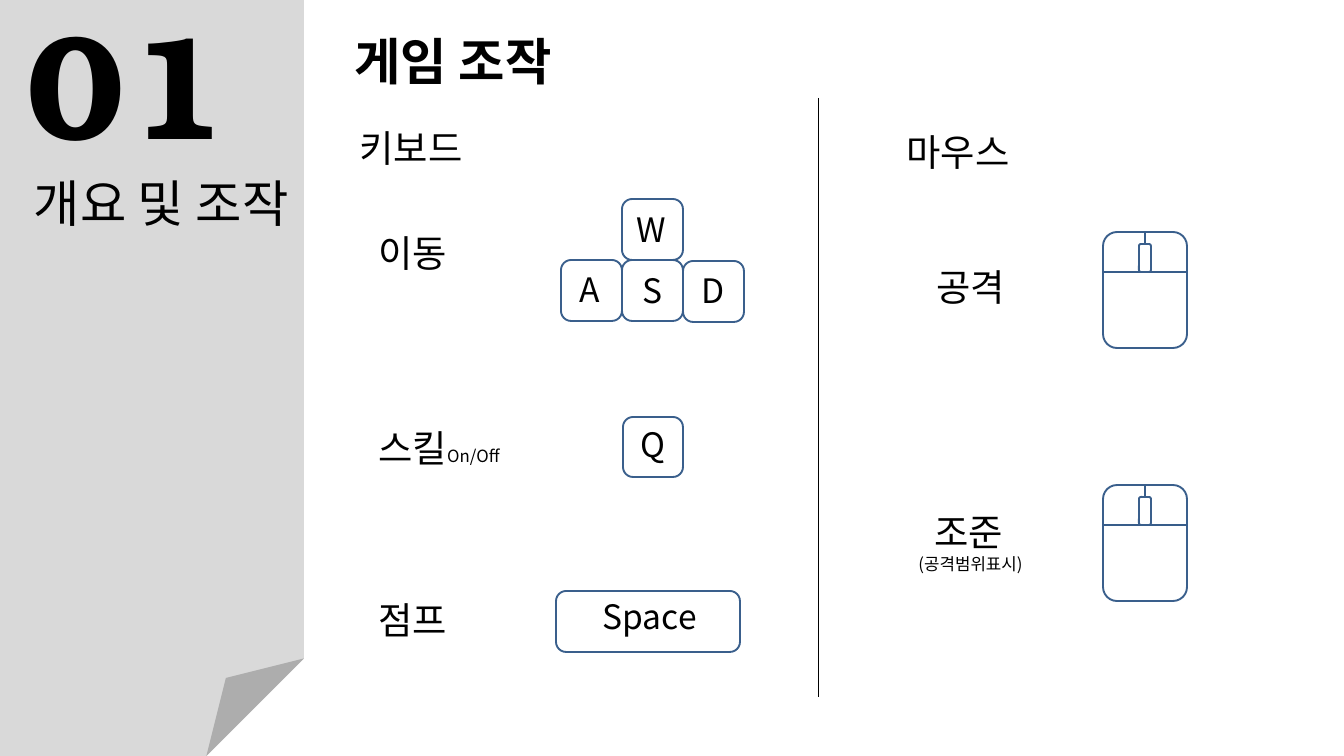
from collections import namedtuple
from dataclasses import dataclass

from lxml import etree
from pptx import Presentation
from pptx import util as u
from pptx.dml.color import RGBColor
from pptx.enum import shapes, text
from pptx.oxml import ns

Box = namedtuple("Box", "x y w h")
SCALE = u.Inches(20) / 1344


@dataclass(frozen=True)
class Theme:
    paper: str = "FFFFFF"
    ink: str = "000000"
    sidebar: str = "D9D9D9"
    key_edge: str = "3A5F8C"
    mouse_edge: str = "385D8A"
    korean: str = "Noto Sans CJK KR"
    latin: str = "Lato"
    numeral: str = "TeX Gyre Bonum"
    number_size: int = 158
    title_size: int = 54
    label_size: int = 40
    legend_size: int = 36
    note_size: int = 18
    edge: float = 2
    hairline: float = 0.75


THEME = Theme()
LEFT, CENTER = text.PP_ALIGN.LEFT, text.PP_ALIGN.CENTER
RIGHT, JUSTIFY = text.PP_ALIGN.RIGHT, text.PP_ALIGN.JUSTIFY


def px(length):
    return u.Emu(round(length * SCALE))


def color(value):
    return RGBColor.from_string(value)


def place(region, x, y, w, h):
    return Box(region.x + x, region.y + y, w, h)


def write(slide, box, paragraphs, align=LEFT, font=THEME.korean, bold=False, spacing=0):
    label = slide.shapes.add_textbox(*map(px, box))
    frame = label.text_frame
    frame.word_wrap = True
    for index, runs in enumerate(paragraphs):
        paragraph = frame.paragraphs[0] if index == 0 else frame.add_paragraph()
        paragraph.alignment = align
        for words, size in runs:
            run = paragraph.add_run()
            run.text = words
            run.font.size = u.Pt(size)
            run.font.name = font
            run.font.bold = bold
            run.font.color.rgb = color(THEME.ink)
            properties = run.font._element
            east_asian = etree.SubElement(properties, ns.qn("a:ea"))
            east_asian.set("typeface", THEME.korean)
            if spacing:
                properties.set("spc", str(spacing * 100))


def outline(parent, box):
    cap = parent.shapes.add_shape(shapes.MSO_SHAPE.ROUNDED_RECTANGLE, *map(px, box))
    cap.shadow.inherit = False
    cap.fill.solid()
    cap.fill.fore_color.rgb = color(THEME.paper)
    cap.line.color.rgb = color(THEME.key_edge)
    cap.line.width = u.Pt(THEME.edge)
    return cap


def rule(parent, start, end, ink, width):
    line = parent.shapes.add_connector(
        shapes.MSO_CONNECTOR.STRAIGHT, *map(px, start + end))
    line.line.color.rgb = color(ink)
    line.line.width = u.Pt(width)
    etree.SubElement(line._element.spPr, ns.qn("a:effectLst"))
    return line


def sidebar(slide, region):
    page = slide.shapes.add_shape(shapes.MSO_SHAPE.FOLDED_CORNER, *map(px, region))
    geometry = page._element.spPr.find(ns.qn("a:prstGeom"))
    fold = etree.SubElement(geometry.find(ns.qn("a:avLst")), ns.qn("a:gd"))
    fold.set("name", "adj")
    fold.set("fmla", "val 32100")
    page.shadow.inherit = False
    page.fill.solid()
    page.fill.fore_color.rgb = color(THEME.sidebar)
    page.line.fill.background()
    write(slide, place(region, -50, 169, 345, 60),
          [[("개요 및 조작", THEME.title_size)]], RIGHT)
    write(slide, place(region, 20, -11, 226, 199),
          [[("01", THEME.number_size)]], JUSTIFY, THEME.numeral, True, 5)


def keyboard(slide, region):
    write(slide, place(region, 0, 0, 226, 60), [[("키보드", THEME.label_size)]])
    actions = [
        (105, [("이동", THEME.label_size)]),
        (300, [("스킬", THEME.label_size), ("On/Off", THEME.note_size)]),
        (472, [("점프", THEME.label_size)]),
    ]
    for top, runs in actions:
        write(slide, place(region, 19, top, 199, 60), [runs])

    movement = slide.shapes.add_group_shape()
    side = 61
    keys = [
        (movement, "W", 269, 77, side, 8, 7),
        (movement, "S", 269, 138, side, 14, 7),
        (movement, "A", 208, 138, side, 12, 6),
        (movement, "D", 330, 139, side, 12, 6),
        (slide, "Q", 270, 295, 60, 11, 4),
        (slide, "Space", 203, 469, 184, 40, 2),
    ]
    for parent, legend, x, y, width, dx, dy in keys:
        outline(parent, place(region, x, y, width, min(width, side)))
        write(slide, place(region, x + dx, y + dy, max(width, 54), 60),
              [[(legend, THEME.legend_size)]])


def mouse_icon(slide, region):
    icon = slide.shapes.add_group_shape()
    body = outline(icon, region)
    middle, seam = region.x + region.w // 2, region.y + 40
    rule(icon, (region.x, seam), (region.x + region.w, seam),
         THEME.mouse_edge, THEME.edge)
    split = rule(icon, (middle, region.y), (middle, seam),
                 THEME.mouse_edge, THEME.edge)
    wheel = outline(icon, Box(middle - 6, seam - 28, 12, 28))
    split.begin_connect(body, 0)
    split.end_connect(wheel, 2)


def mouse(slide, region):
    write(slide, place(region, 51, 0, 226, 60),
          [[("마우스", THEME.label_size)]], font=THEME.latin)
    write(slide, place(region, 22, 135, 199, 60),
          [[("공격", THEME.label_size)]], CENTER)
    write(slide, place(region, 0, 380, 243, 60),
          [[("조준", THEME.label_size), (" ", THEME.note_size)],
           [("(공격범위표시)", THEME.note_size)]], CENTER)
    for top in (106, 359):
        mouse_icon(slide, place(region, 254, top, 84, 116))


def main():
    deck = Presentation()
    deck.slide_width, deck.slide_height = px(1344), px(756)
    slide = deck.slides.add_slide(deck.slide_layouts[6])
    sidebar(slide, Box(0, 0, 304, 756))
    write(slide, Box(213, 27, 345, 60),
          [[("게임 조작", THEME.title_size)]], RIGHT, bold=True)
    keyboard(slide, Box(353, 122, 450, 560))
    rule(slide, (818, 98), (818, 697), THEME.ink, THEME.hairline)
    mouse(slide, Box(849, 126, 340, 480))
    deck.save("out.pptx")


if __name__ == "__main__":
    main()
